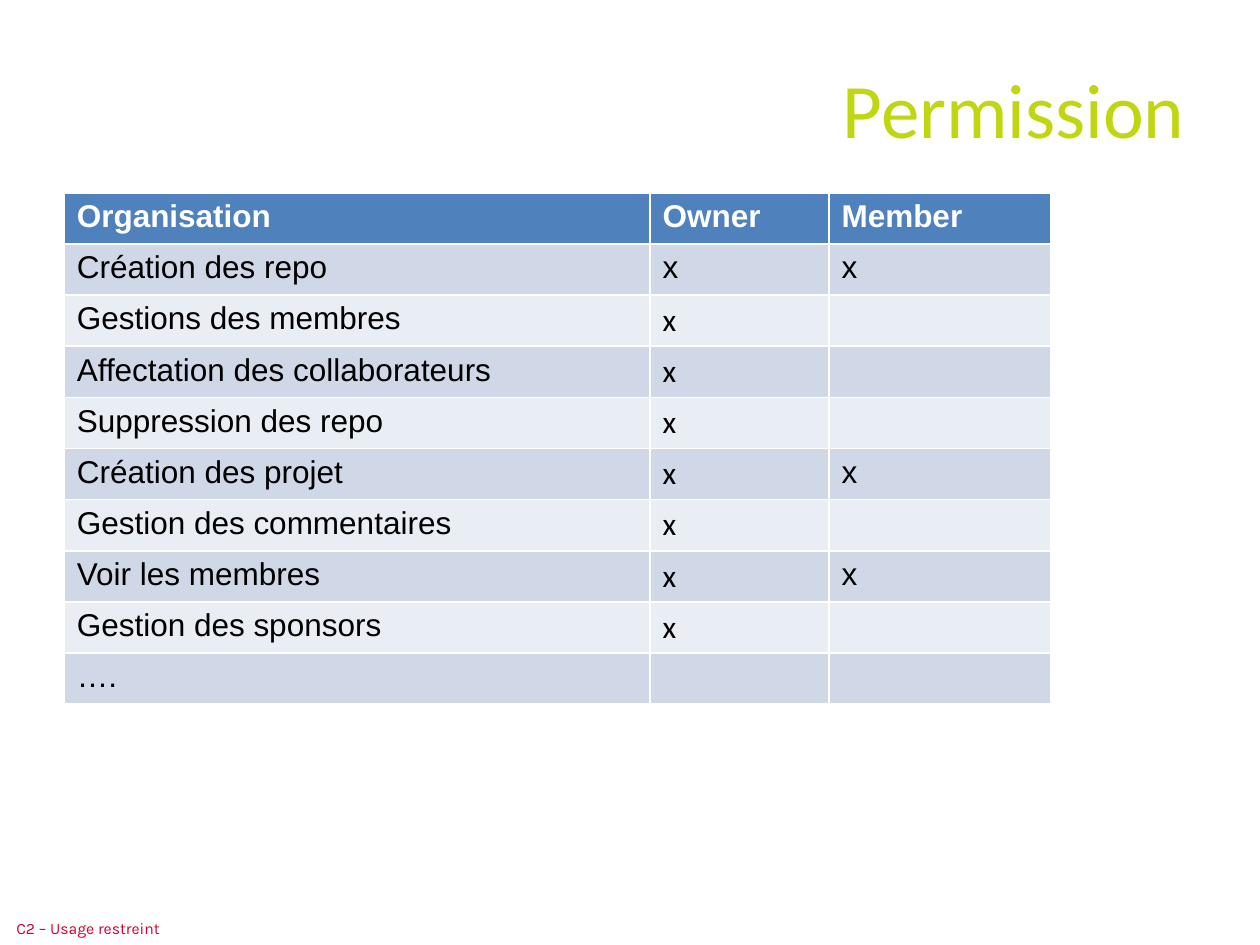
import dataclasses

import pptx
import pptx.dml.color
import pptx.enum.text
import pptx.util

Inches = pptx.util.Inches
Color = pptx.dml.color.RGBColor
Align = pptx.enum.text.PP_ALIGN

WHITE = Color(0xFF, 0xFF, 0xFF)
BLACK = Color(0, 0, 0)
LIME = Color(0xC0, 0xD6, 0x11)
RED = Color(0xCF, 0x02, 0x2B)
BLUE = Color(0x4F, 0x81, 0xBD)
BANDS = (Color(0xD0, 0xD8, 0xE8), Color(0xE9, 0xED, 0xF4))

HEADS = ("Organisation", "Owner", "Member")
WIDTHS = (4.65, 1.42, 1.76)
HEIGHT = 4.06


@dataclasses.dataclass
class Right:
    name: str
    owner: str = "x"
    member: str = ""
    face: str = "Calibri"  # font of the owner mark


RIGHTS = (
    Right("Création des repo", member="x", face="Arial"),
    Right("Gestions des membres"),
    Right("Affectation des collaborateurs"),
    Right("Suppression des repo"),
    Right("Création des projet", member="x"),
    Right("Gestion des commentaires"),
    Right("Voir les membres", member="x"),
    Right("Gestion des sponsors"),
    Right("….", owner=""),
)


def style(par, face: str, size: float, color: Color, bold: bool = False) -> None:
    par.font.name = face
    par.font.size = pptx.util.Pt(size)
    par.font.color.rgb = color
    par.font.bold = bold


def label(slide, text: str, box: tuple, face: str, size: float, color: Color,
          align: Align, inset: float, pad: float) -> None:
    frame = slide.shapes.add_textbox(*map(Inches, box)).text_frame
    frame.word_wrap = True
    frame.vertical_anchor = pptx.enum.text.MSO_ANCHOR.MIDDLE
    frame.margin_left = frame.margin_right = Inches(inset)
    frame.margin_top = frame.margin_bottom = Inches(pad)
    par = frame.paragraphs[0]
    par.text = text
    par.alignment = align
    style(par, face, size, color)


def fill(cell, text: str, back: Color, face: str, color: Color, bold: bool = False) -> None:
    cell.fill.solid()
    cell.fill.fore_color.rgb = back
    par = cell.text_frame.paragraphs[0]
    par.text = text
    style(par, face, 18, color, bold)


def grid(slide) -> None:
    rows = len(RIGHTS) + 1
    table = slide.shapes.add_table(
        rows, len(HEADS), Inches(0.51), Inches(1.53),
        Inches(sum(WIDTHS)), Inches(HEIGHT)).table
    for col, width in zip(table.columns, WIDTHS):
        col.width = Inches(width)
    for row in table.rows:
        row.height = Inches(HEIGHT / rows)

    # Header row
    for col, head in enumerate(HEADS):
        fill(table.cell(0, col), head, BLUE, "Arial", WHITE, True)

    # Banded rows, one per right
    for row, right in enumerate(RIGHTS):
        texts = (right.name, right.owner, right.member)
        faces = ("Arial", right.face, "Arial")
        for col, (text, face) in enumerate(zip(texts, faces)):
            fill(table.cell(row + 1, col), text, BANDS[row % 2], face, BLACK)


def main() -> None:
    deck = pptx.Presentation()
    deck.slide_width, deck.slide_height = Inches(10), Inches(7.5)
    slide = deck.slides.add_slide(deck.slide_layouts[6])

    # Footer, title and table
    label(slide, "C2 – Usage restreint", (0, 7.23, 1.43, 0.27),
          "Karla", 9, RED, Align.LEFT, 0.13, 0)
    label(slide, "Permission", (1.39, 0.23, 8.11, 1.25),
          "Calibri", 44, LIME, Align.RIGHT, 0.1, 0.05)
    grid(slide)
    deck.save("out.pptx")


if __name__ == "__main__":
    main()
